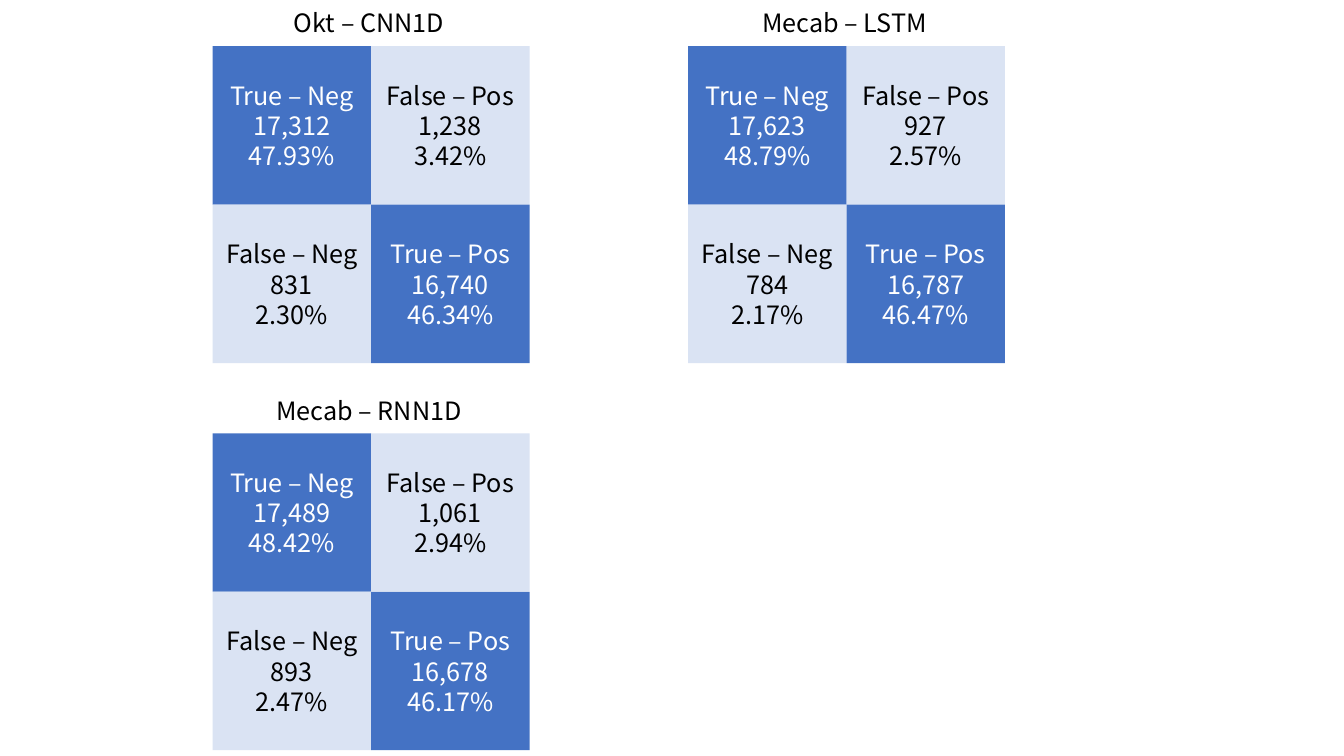
from dataclasses import dataclass

from pptx import Presentation
from pptx.dml.color import RGBColor
from pptx.enum.shapes import MSO_SHAPE
from pptx.enum.text import MSO_ANCHOR, PP_ALIGN
from pptx.slide import Slide
from pptx.text.text import TextFrame
from pptx.util import Pt

FONT = "Noto Sans CJK KR"
BLUE, PALE, WHITE, BLACK = "4472C4", "DAE3F3", "FFFFFF", "000000"

CELL = 113.2
LEFT, TOP = 151.9, 33
COLUMN_STEP, ROW_STEP = 3 * CELL, 276.5
TITLE_WIDTH, TITLE_HEIGHT = 183, 28.8
TITLE_INDENT, TITLE_RISE = 20.2, 31
LABELS = ("True – Neg", "False – Pos", "False – Neg", "True – Pos")


@dataclass(frozen=True)
class ConfusionMatrix:
    title: str
    column: int
    row: int
    results: tuple[tuple[str, str], ...]


MATRICES = (
    ConfusionMatrix("Okt – CNN1D", 0, 0, (
        ("17,312", "47.93%"), ("1,238", "3.42%"), ("831", "2.30%"), ("16,740", "46.34%"))),
    ConfusionMatrix("Mecab – RNN1D", 0, 1, (
        ("17,489", "48.42%"), ("1,061", "2.94%"), ("893", "2.47%"), ("16,678", "46.17%"))),
    ConfusionMatrix("Mecab – LSTM", 1, 0, (
        ("17,623", "48.79%"), ("927", "2.57%"), ("784", "2.17%"), ("16,787", "46.47%"))),
)


def color(value: str) -> RGBColor:
    return RGBColor.from_string(value)


def write(frame: TextFrame, text: str, ink: str) -> None:
    frame.text = text
    frame.word_wrap = True
    for paragraph in frame.paragraphs:
        paragraph.alignment = PP_ALIGN.CENTER
        paragraph.line_spacing = Pt(21.6)
        for span in paragraph.runs:
            span.font.name = FONT
            span.font.size = Pt(18)
            span.font.color.rgb = color(ink)


def draw_cell(page: Slide, left: float, top: float, text: str, correct: bool) -> None:
    box = page.shapes.add_shape(MSO_SHAPE.RECTANGLE, Pt(left), Pt(top), Pt(CELL), Pt(CELL))
    box.shadow.inherit = False
    box.fill.solid()
    box.fill.fore_color.rgb = color(BLUE if correct else PALE)
    box.line.fill.background()
    box.text_frame.vertical_anchor = MSO_ANCHOR.MIDDLE
    write(box.text_frame, text, WHITE if correct else BLACK)


def draw_matrix(page: Slide, matrix: ConfusionMatrix) -> None:
    left = LEFT + matrix.column * COLUMN_STEP
    top = TOP + matrix.row * ROW_STEP
    for index, (label, result) in enumerate(zip(LABELS, matrix.results)):
        row, column = divmod(index, 2)
        text = "\n".join((label, *result))
        draw_cell(page, left + column * CELL, top + row * CELL, text, row == column)
    title = page.shapes.add_textbox(
        Pt(left + TITLE_INDENT), Pt(top - TITLE_RISE), Pt(TITLE_WIDTH), Pt(TITLE_HEIGHT))
    write(title.text_frame, matrix.title, BLACK)


deck = Presentation()
deck.slide_width, deck.slide_height = Pt(960), Pt(540)
page = deck.slides.add_slide(deck.slide_layouts[6])
for matrix in MATRICES:
    draw_matrix(page, matrix)
deck.save("out.pptx")
